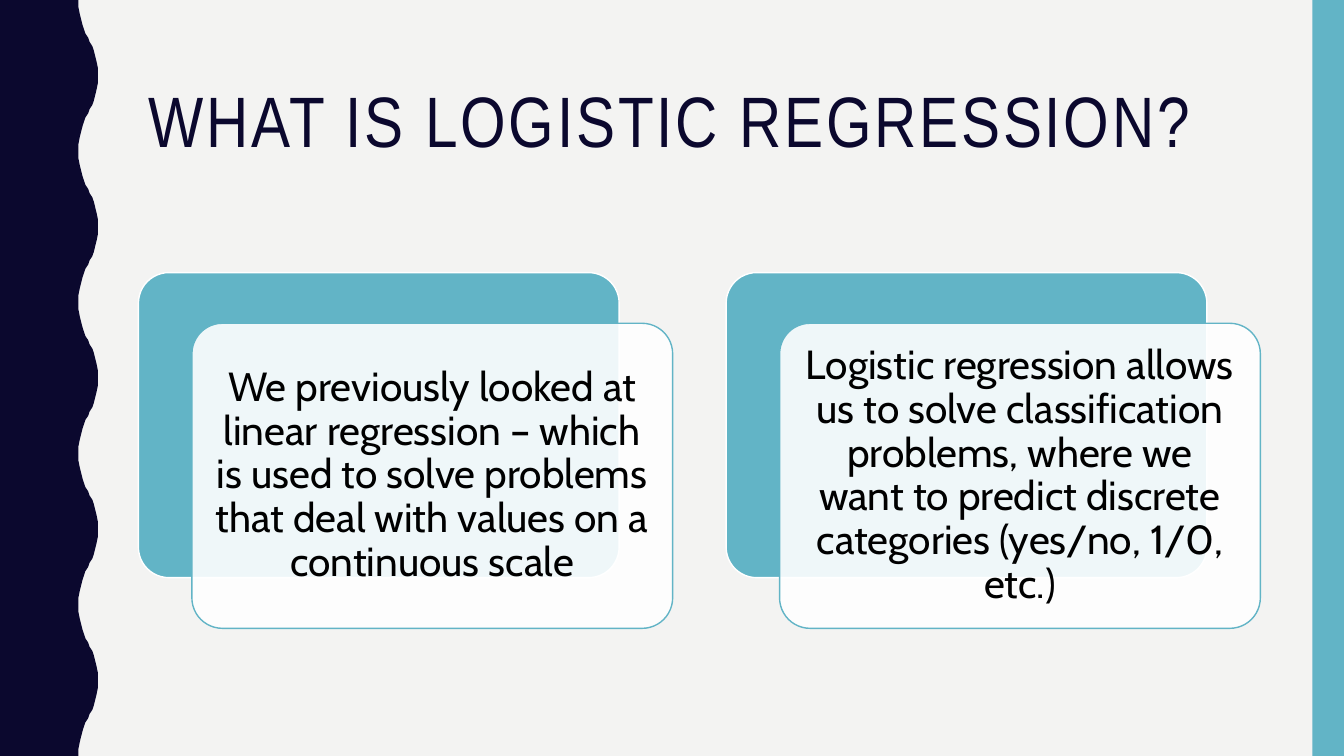
import pptx
import pptx.util
import pptx.dml.color
import pptx.enum.shapes
import pptx.enum.text
from lxml import etree

Pt = pptx.util.Pt
RGB = pptx.dml.color.RGBColor.from_string
SHAPE = pptx.enum.shapes.MSO_SHAPE
ALIGN = pptx.enum.text.PP_ALIGN
MIDDLE = pptx.enum.text.MSO_ANCHOR.MIDDLE

# Content
TITLE = "WHAT IS LOGISTIC REGRESSION?"
CARDS = [
    "We previously looked at linear regression – which is used to solve "
    "problems that deal with values on a continuous scale",
    "Logistic regression allows us to solve classification problems, where "
    "we want to predict discrete categories (yes/no, 1/0, etc.)",
]
COLORS = {"back": "F3F3F2", "navy": "0B082E", "teal": "62B4C6",
          "white": "FFFFFF", "black": "000000"}

# Layout, in points
WIDE, HIGH = 960, 540
BAR = 22.5
LEFT, TOP, STEP = 98.9, 194.7, 419.8
CARD_W, CARD_H = 343.4, 217.9
SHIFT_X, SHIFT_Y = 38.2, 36.2
# Half of one wave, as x and y; the other half mirrors it
HALF = [(56, 0), (56.2, 5), (56.7, 10), (57.5, 14.4), (58.6, 18),
        (59.8, 21), (61.2, 24), (62.6, 27), (64.1, 30), (65.5, 33),
        (67, 36), (68.2, 39.6), (69.2, 44), (69.7, 49), (70, 54)]
WAVE = 108


def paint(shape, fill, line=None):
    shape.shadow.inherit = False
    shape.fill.solid()
    shape.fill.fore_color.rgb = RGB(COLORS[fill])
    if line:
        shape.line.color.rgb = RGB(COLORS[line])
        shape.line.width = Pt(1)
    else:
        shape.line.fill.background()


def style(par, size, face, color, align):
    par.alignment = align
    par.line_spacing = 0.9
    font = par.runs[0].font
    font.size, font.name = Pt(size), face
    font.color.rgb = RGB(COLORS[color])


def add_block(kind, x, y, w, h, fill, line=None):
    shape = slide.shapes.add_shape(kind, Pt(x), Pt(y), Pt(w), Pt(h))
    paint(shape, fill, line)
    return shape


deck = pptx.Presentation()
deck.slide_width, deck.slide_height = Pt(WIDE), Pt(HIGH)
slide = deck.slides.add_slide(deck.slide_layouts[5])
slide.background.fill.solid()
slide.background.fill.fore_color.rgb = RGB(COLORS["back"])

# Wavy left edge and right bar
cycle = HALF + [(x, WAVE - y) for x, y in HALF[-2:0:-1]]
edge = [(x, y + top) for top in range(0, HIGH, WAVE) for x, y in cycle]
edge += [(HALF[0][0], HIGH), (0, HIGH)]
pen = slide.shapes.build_freeform(0, 0, scale=Pt(1))
pen.add_line_segments(edge, close=True)
paint(pen.convert_to_shape(), "navy")
add_block(SHAPE.RECTANGLE, WIDE - BAR, 0, BAR, HIGH, "teal")

# Title
title = slide.shapes.title
title.left, title.top = Pt(LEFT), Pt(30)
title.width, title.height = Pt(801.5), Pt(117.4)
frame = title.text_frame
frame.text = TITLE
frame.word_wrap = True
frame.vertical_anchor = MIDDLE
style(frame.paragraphs[0], 51, "Arial Narrow", "navy", ALIGN.LEFT)
frame.paragraphs[0].runs[0].font._element.set("spc", "200")

# Cards: a teal panel with a translucent text panel in front
for num, text in enumerate(CARDS):
    x = LEFT + num * STEP
    panel = add_block(SHAPE.ROUNDED_RECTANGLE, x, TOP, CARD_W, CARD_H,
                      "teal", "white")
    front = add_block(SHAPE.ROUNDED_RECTANGLE, x + SHIFT_X, TOP + SHIFT_Y,
                      CARD_W, CARD_H, "white", "teal")
    for shape in (panel, front):
        shape.adjustments[0] = 0.1
    tint = front._element.spPr.find(".//" + pptx.oxml.ns.qn("a:srgbClr"))
    etree.SubElement(tint, pptx.oxml.ns.qn("a:alpha"), val="90000")
    frame = front.text_frame
    frame.text = text
    frame.word_wrap = True
    frame.vertical_anchor = MIDDLE
    frame.margin_left = frame.margin_right = Pt(8.7)
    frame.margin_top = frame.margin_bottom = Pt(8.7)
    style(frame.paragraphs[0], 29, "Cabin", "black", ALIGN.CENTER)

deck.save("out.pptx")
